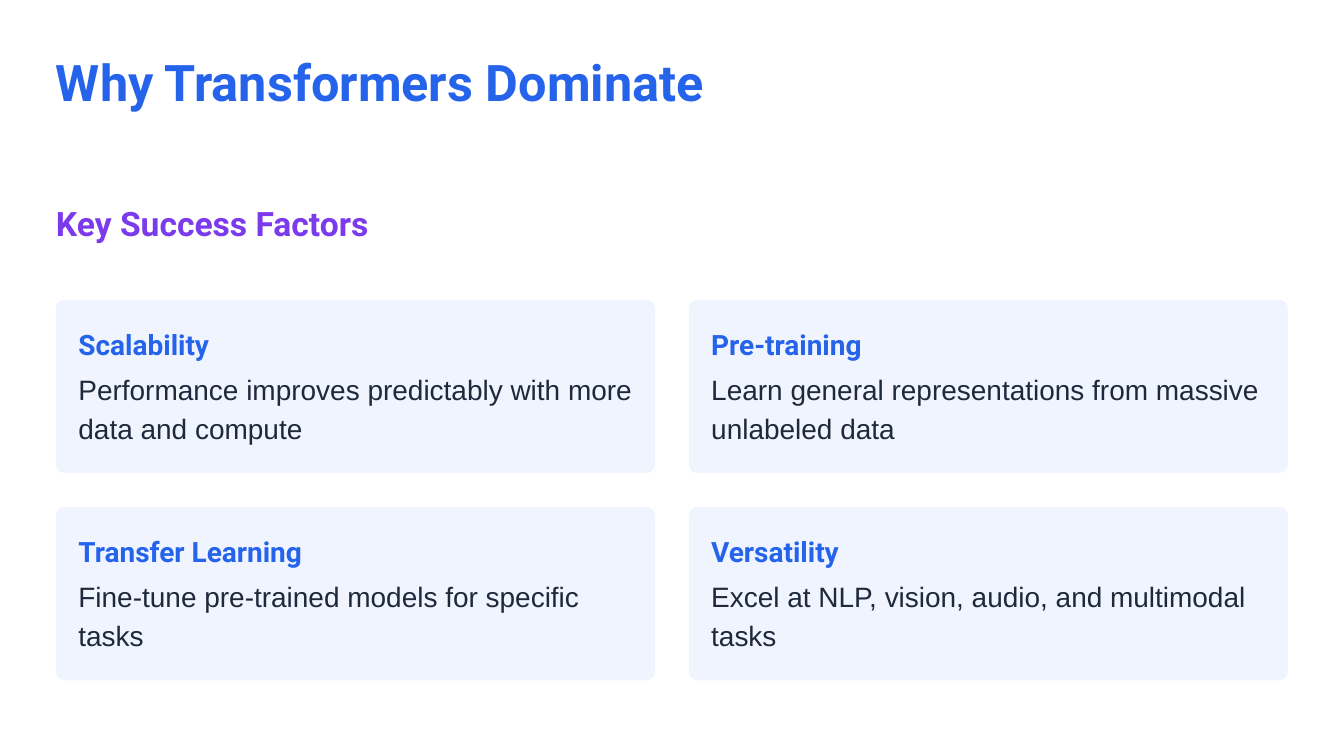
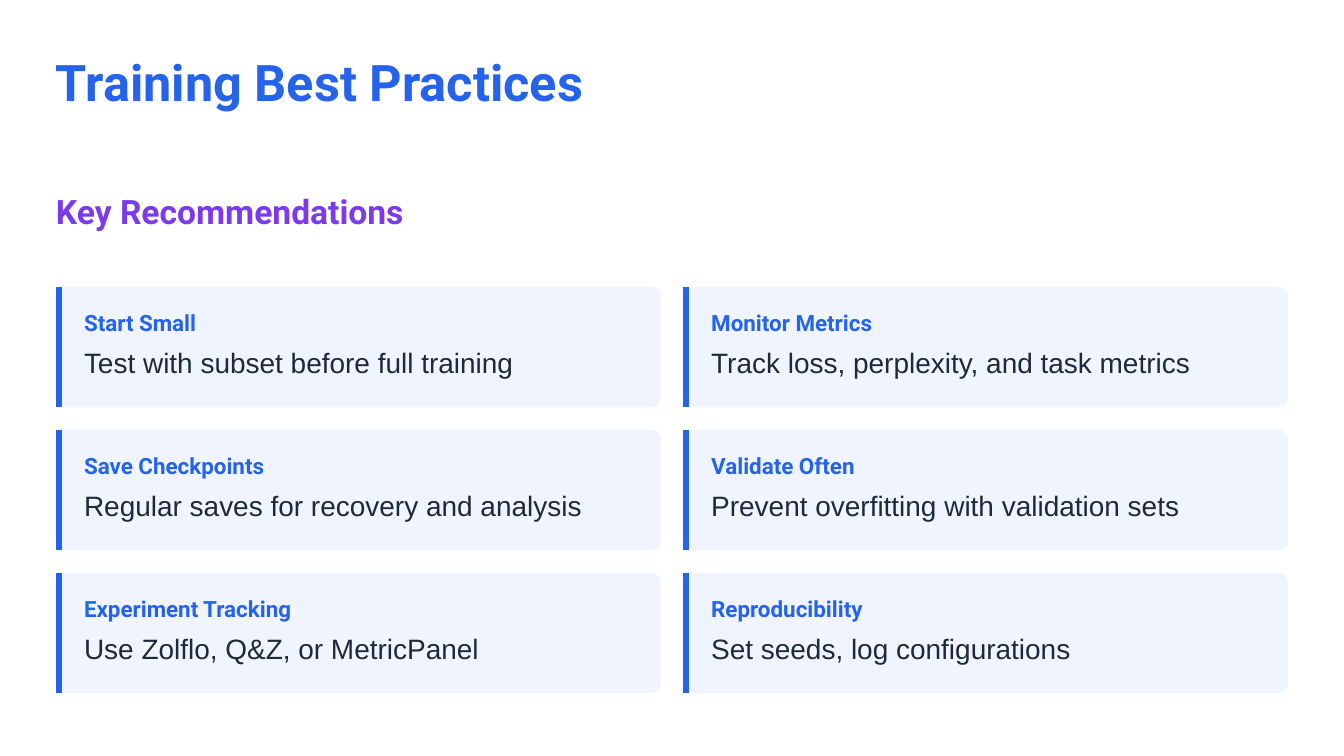
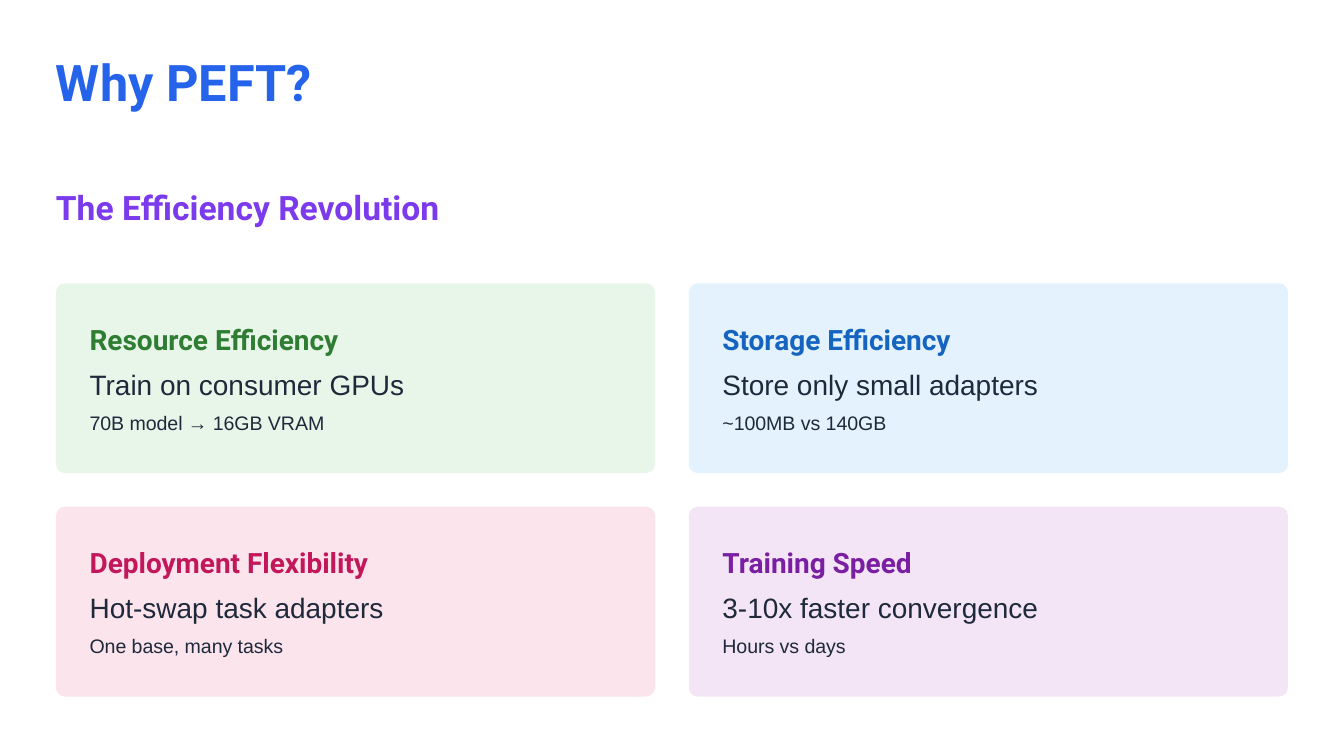
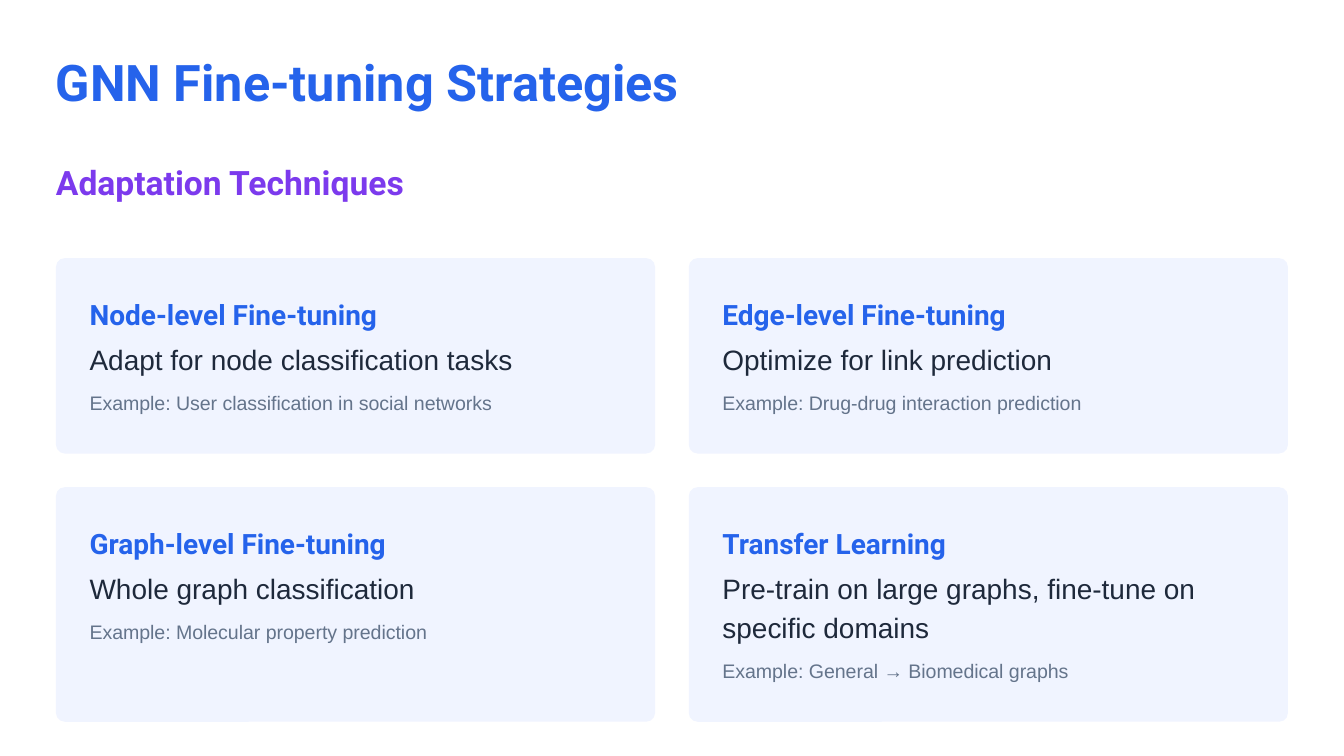
"""Builds a four-slide deck of card grids on training and adapting models."""
from collections import namedtuple
from dataclasses import dataclass

from lxml import etree
from pptx import Presentation
from pptx import util as u
from pptx.dml import color
from pptx.enum import shapes
from pptx.oxml import ns

TextStyle = namedtuple("TextStyle", "font size color bold leading before after")
Card = namedtuple("Card", "heading body note lines fill ink", defaults=(None, 1, None, None))
Layout = namedtuple("Layout", "gap pad heading note accent", defaults=(None, 0))


@dataclass(frozen=True)
class Theme:
    width: float = 720
    height: float = 405
    margin: float = 30
    content_middle: float = 235.5
    subtitle_space: float = 54
    radius: float = 4.8
    text_slack: float = 1.02
    columns: int = 2
    background: str = "FFFFFF"
    blue: str = "2563EB"
    card: str = "F0F4FF"
    title: TextStyle = TextStyle("Roboto", 27, "2563EB", True, 30, 0, 24)
    subtitle: TextStyle = TextStyle("Roboto", 18, "7C3AED", True, 24, 0, 18)
    heading: TextStyle = TextStyle("Roboto", 15, "2563EB", True, 21, 0, 0)
    small_heading: TextStyle = TextStyle("Roboto", 12, "2563EB", True, None, 0, 0)
    body: TextStyle = TextStyle("Arial", 15, "1E293B", False, 21, 3, 3)
    note: TextStyle = TextStyle("Arial", 10.5, "1E293B", False, 14.7, 3, 3)
    example: TextStyle = TextStyle("Arial", 10.5, "64748B", False, 14.7, 6, 3)


THEME = Theme()


def line_height(style):
    return style.leading or style.size * 1.125


def apply(target, values):
    for name, value in values.items():
        setattr(target, name, value)


class Painter:
    """Holds the theme and the current slide, and draws each kind of element."""

    def __init__(self, theme):
        self.theme = theme
        self.deck = Presentation()
        apply(self.deck, {"slide_width": u.Pt(theme.width), "slide_height": u.Pt(theme.height)})
        self.page = None

    def new_page(self):
        self.page = self.deck.slides.add_slide(self.deck.slide_layouts[6])
        self.fill(self.page.background, self.theme.background)

    def fill(self, target, shade):
        target.fill.solid()
        target.fill.fore_color.rgb = color.RGBColor.from_string(shade)

    def text(self, words, style, left, top, width, lines=1):
        height = line_height(style) * lines
        box = self.page.shapes.add_textbox(*map(u.Pt, (left, top, width, height)))
        frame = box.text_frame
        apply(frame, {"word_wrap": True, "margin_left": 0, "margin_top": 0,
                      "margin_right": 0, "margin_bottom": 0})
        para = frame.paragraphs[0]
        apply(para, {"space_before": u.Pt(style.before), "space_after": u.Pt(style.after),
                     "line_spacing": u.Pt(style.leading) if style.leading else None})
        span = para.add_run()
        span.text = words
        apply(span.font, {"name": style.font, "size": u.Pt(style.size), "bold": style.bold})
        span.font.color.rgb = color.RGBColor.from_string(style.color)

    def panel(self, left, top, width, height, shade):
        panel = self.page.shapes.add_shape(
            shapes.MSO_SHAPE.ROUNDED_RECTANGLE, *map(u.Pt, (left, top, width, height)))
        panel.adjustments[0] = self.theme.radius / min(width, height)
        panel.shadow.inherit = False
        panel.line.fill.background()
        self.fill(panel, shade)

    def accent(self, left, top, height, weight):
        middle = left + weight / 2
        bar = self.page.shapes.add_connector(
            shapes.MSO_CONNECTOR.STRAIGHT, *map(u.Pt, (middle, top, middle, top + height)))
        bar.line.width = u.Pt(weight)
        bar.line.color.rgb = color.RGBColor.from_string(self.theme.blue)
        etree.SubElement(bar._element.spPr, ns.qn("a:effectLst"))

    def card_texts(self, card, layout):
        heading = layout.heading._replace(color=card.ink or layout.heading.color)
        texts = [(card.heading, heading, 1), (card.body, self.theme.body, card.lines)]
        if card.note:
            texts.append((card.note, layout.note, 1))
        return texts

    def card_height(self, card, layout):
        stack = sum(style.before + line_height(style) * lines
                    for _, style, lines in self.card_texts(card, layout))
        return stack + self.theme.body.after + 2 * layout.pad

    def card(self, card, layout, left, top, width, height):
        self.panel(left, top, width, height, card.fill or self.theme.card)
        if layout.accent:
            self.accent(left, top, height, layout.accent)
        text_left = left + layout.accent + layout.pad
        text_width = (width - layout.accent - 2 * layout.pad) * self.theme.text_slack
        text_top = top + layout.pad
        for words, style, lines in self.card_texts(card, layout):
            text_top += style.before
            self.text(words, style, text_left, text_top, text_width, lines)
            text_top += line_height(style) * lines

    def card_page(self, title, title_width, subtitle, layout, cards):
        theme = self.theme
        columns = theme.columns
        inner = theme.width - 2 * theme.margin
        rows = [cards[i:i + columns] for i in range(0, len(cards), columns)]
        heights = [max(self.card_height(card, layout) for card in row) for row in rows]
        block = theme.subtitle_space + sum(heights) + layout.gap * (len(rows) - 1)
        top = theme.content_middle - block / 2
        width = (inner - layout.gap * (columns - 1)) / columns

        self.new_page()
        self.text(title, theme.title, theme.margin, theme.margin, title_width)
        self.text(subtitle, theme.subtitle, theme.margin, top, inner * theme.text_slack)
        top += theme.subtitle_space
        for row, height in zip(rows, heights):
            for column, card in enumerate(row):
                left = theme.margin + column * (width + layout.gap)
                self.card(card, layout, left, top, width, height)
            top += height + layout.gap


PAGES = [
    ("Why Transformers Dominate", 376, "Key Success Factors",
     Layout(18, 12, THEME.heading), [
         Card("Scalability", "Performance improves predictably with more data and compute", lines=2),
         Card("Pre-training", "Learn general representations from massive unlabeled data", lines=2),
         Card("Transfer Learning", "Fine-tune pre-trained models for specific tasks", lines=2),
         Card("Versatility", "Excel at NLP, vision, audio, and multimodal tasks", lines=2),
     ]),
    ("Training Best Practices", 338, "Key Recommendations",
     Layout(12, 12, THEME.small_heading, accent=3), [
         Card("Start Small", "Test with subset before full training"),
         Card("Monitor Metrics", "Track loss, perplexity, and task metrics"),
         Card("Save Checkpoints", "Regular saves for recovery and analysis"),
         Card("Validate Often", "Prevent overfitting with validation sets"),
         Card("Experiment Tracking", "Use Zolflo, Q&Z, or MetricPanel"),
         Card("Reproducibility", "Set seeds, log configurations"),
     ]),
    ("Why PEFT?", 338, "The Efficiency Revolution",
     Layout(18, 18, THEME.heading, THEME.note), [
         Card("Resource Efficiency", "Train on consumer GPUs", "70B model → 16GB VRAM",
              fill="E8F5E9", ink="2E7D32"),
         Card("Storage Efficiency", "Store only small adapters", "~100MB vs 140GB",
              fill="E3F2FD", ink="1565C0"),
         Card("Deployment Flexibility", "Hot-swap task adapters", "One base, many tasks",
              fill="FCE4EC", ink="C2185B"),
         Card("Training Speed", "3-10x faster convergence", "Hours vs days",
              fill="F3E5F5", ink="7B1FA2"),
     ]),
    ("GNN Fine-tuning Strategies", 360, "Adaptation Techniques",
     Layout(18, 18, THEME.heading, THEME.example), [
         Card("Node-level Fine-tuning", "Adapt for node classification tasks",
              "Example: User classification in social networks"),
         Card("Edge-level Fine-tuning", "Optimize for link prediction",
              "Example: Drug-drug interaction prediction"),
         Card("Graph-level Fine-tuning", "Whole graph classification",
              "Example: Molecular property prediction"),
         Card("Transfer Learning", "Pre-train on large graphs, fine-tune on specific domains",
              "Example: General → Biomedical graphs", lines=2),
     ]),
]


def main():
    painter = Painter(THEME)
    for page in PAGES:
        painter.card_page(*page)
    painter.deck.save("out.pptx")


if __name__ == "__main__":
    main()
